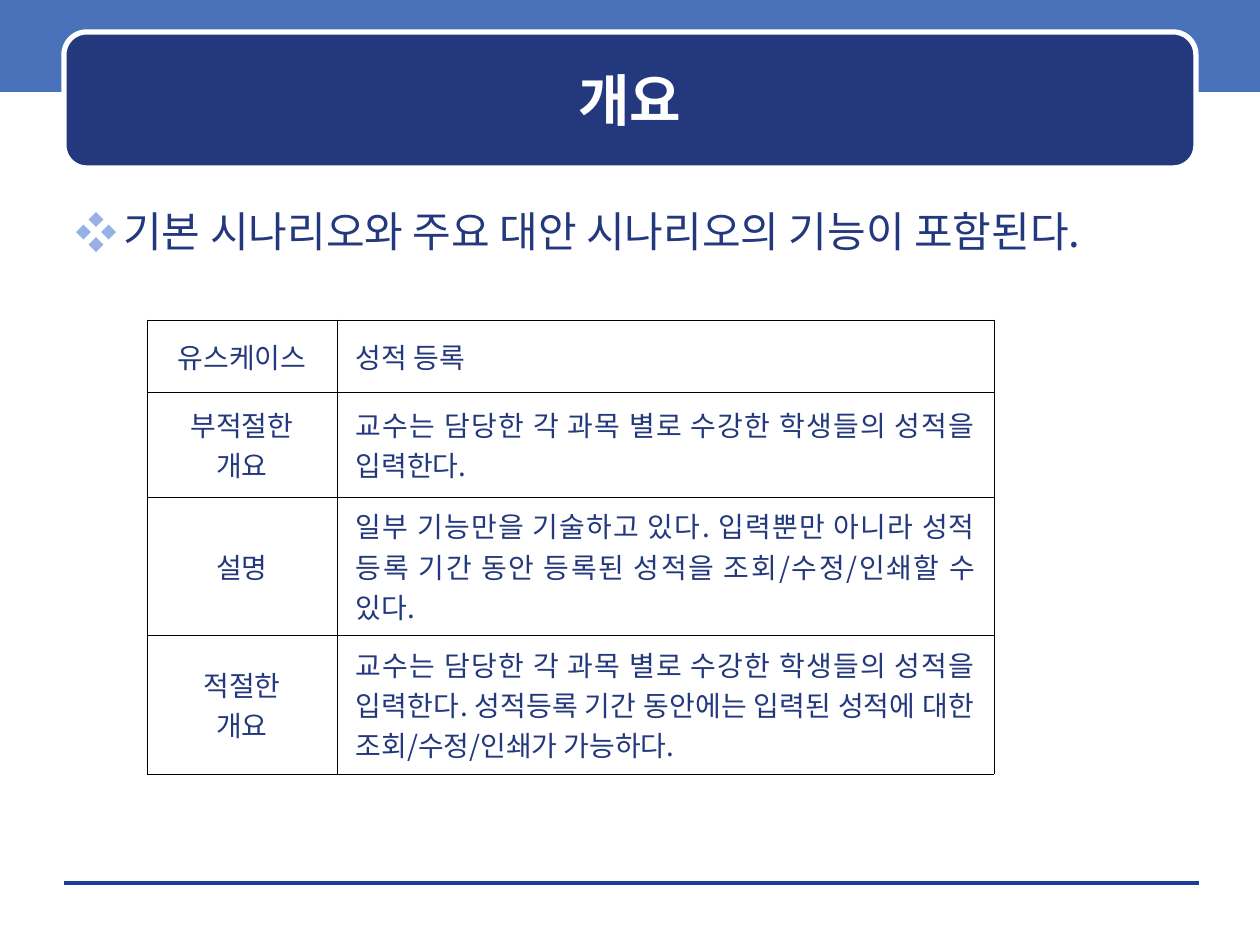
import pptx
import pptx.util
import pptx.dml.color
import pptx.enum.shapes
import pptx.enum.text
import pptx.oxml
import pptx.oxml.ns
from dataclasses import dataclass

ALIGN = pptx.enum.text.PP_ALIGN
MIDDLE = pptx.enum.text.MSO_ANCHOR.MIDDLE
SHAPE = pptx.enum.shapes.MSO_SHAPE


@dataclass(frozen=True)
class Theme:
    font: str = "Noto Sans CJK KR"
    navy: str = "23387D"
    band: str = "4972BB"
    rule: str = "1A3D97"
    mark: str = "96B1E6"
    white: str = "FFFFFF"
    black: str = "000000"
    title: int = 32
    body: int = 24
    cell: int = 16


def px(num):
    return pptx.util.Emu(round(num * 914400 / 126))


def rgb(code):
    return pptx.dml.color.RGBColor.from_string(code)


def node(tag, inner="", attrs=""):
    space = pptx.oxml.ns.nsdecls("a")
    return pptx.oxml.parse_xml(f"<a:{tag} {space} {attrs}>{inner}</a:{tag}>")


class Deck:
    def __init__(self, theme):
        self.theme = theme
        self.file = pptx.Presentation()
        self.file.slide_width = px(1260)
        self.file.slide_height = px(945)
        self.slide = self.file.slides.add_slide(self.file.slide_layouts[6])

    def style(self, frame, size, color, align, bold=False):
        for para in frame.paragraphs:
            para.alignment = align
            for run in para.runs:
                font = run.font
                font.size = pptx.util.Pt(size)
                font.bold = bold
                font.name = self.theme.font
                font.color.rgb = rgb(color)
                latin = run._r.rPr.find(pptx.oxml.ns.qn("a:latin"))
                latin.addnext(node("ea", attrs=f'typeface="{self.theme.font}"'))

    def block(self, kind, box, fill, edge=None, width=0):
        shape = self.slide.shapes.add_shape(kind, *map(px, box))
        shape.shadow.inherit = False
        shape.fill.solid()
        shape.fill.fore_color.rgb = rgb(fill)
        if edge:
            shape.line.color.rgb = rgb(edge)
            shape.line.width = pptx.util.Pt(width)
        else:
            shape.line.fill.background()

    def rule(self, left, right, top, color):
        line = self.slide.shapes.add_connector(
            pptx.enum.shapes.MSO_CONNECTOR.STRAIGHT,
            px(left), px(top), px(right), px(top))
        line.line.color.rgb = rgb(color)
        line.line.width = 0
        line._element.spPr.append(node("effectLst"))

    def text(self, box, text):
        frame = self.slide.shapes.add_textbox(*map(px, box)).text_frame
        frame.word_wrap = True
        frame.text = text
        return frame

    def title(self, box, text):
        frame = self.text(box, text)
        frame.vertical_anchor = MIDDLE
        self.style(frame, self.theme.title, self.theme.white, ALIGN.CENTER, True)

    def bullet(self, box, text, mark):
        frame = self.text(box, text)
        props = frame.paragraphs[0]._p.get_or_add_pPr()
        indent = px(48)
        props.set("marL", str(indent))
        props.set("indent", str(-indent))
        props.append(node("buClr", f'<a:srgbClr val="{self.theme.mark}"/>'))
        props.append(node("buFont", attrs=f'typeface="{self.theme.font}"'))
        props.append(node("buChar", attrs=f'char="{mark}"'))
        self.style(frame, self.theme.body, self.theme.navy, ALIGN.LEFT)

    def border(self, cell):
        props = cell._tc.get_or_add_tcPr()
        fill = f'<a:solidFill><a:srgbClr val="{self.theme.black}"/></a:solidFill>'
        for spot, side in enumerate("LRTB"):
            props.insert(spot, node("ln" + side, fill, 'w="5715"'))

    def table(self, left, top, cols, rows, data):
        box = map(px, (left, top, sum(cols), sum(rows)))
        grid = self.slide.shapes.add_table(len(rows), len(cols), *box).table
        grid.first_row = grid.horz_banding = False
        for col, width in zip(grid.columns, cols):
            col.width = px(width)
        for row, height, texts in zip(grid.rows, rows, data):
            row.height = px(height)
            for cell, text, align in zip(
                    row.cells, texts, (ALIGN.CENTER, ALIGN.JUSTIFY)):
                cell.text_frame.text = text
                cell.vertical_anchor = MIDDLE
                cell.margin_left = cell.margin_right = px(19)
                cell.margin_top = cell.margin_bottom = px(6)
                cell.fill.background()
                self.border(cell)
                self.style(cell.text_frame, self.theme.cell,
                           self.theme.navy, align)


def main():
    theme = Theme()
    deck = Deck(theme)
    deck.block(SHAPE.RECTANGLE, (0, 0, 1260, 92), theme.band)
    deck.rule(64, 1199, 883, theme.rule)
    deck.block(SHAPE.ROUNDED_RECTANGLE, (64, 32, 1132, 136),
               theme.navy, theme.white, 3)
    deck.title((75, 44, 1110, 111), "개요")
    deck.bullet((63, 199, 1134, 672),
                "기본 시나리오와 주요 대안 시나리오의 기능이 포함된다.", "❖")
    deck.table(147, 320, (190, 657), (72, 105, 138, 139), (
        ("유스케이스", "성적 등록"),
        ("부적절한\n개요",
         "교수는 담당한 각 과목 별로 수강한 학생들의 성적을 입력한다."),
        ("설명",
         "일부 기능만을 기술하고 있다. 입력뿐만 아니라 성적 등록 기간 동안 "
         "등록된 성적을 조회/수정/인쇄할 수 있다."),
        ("적절한\n개요",
         "교수는 담당한 각 과목 별로 수강한 학생들의 성적을 입력한다. "
         "성적등록 기간 동안에는 입력된 성적에 대한 조회/수정/인쇄가 가능하다."),
    ))
    deck.file.save("out.pptx")


if __name__ == "__main__":
    main()
